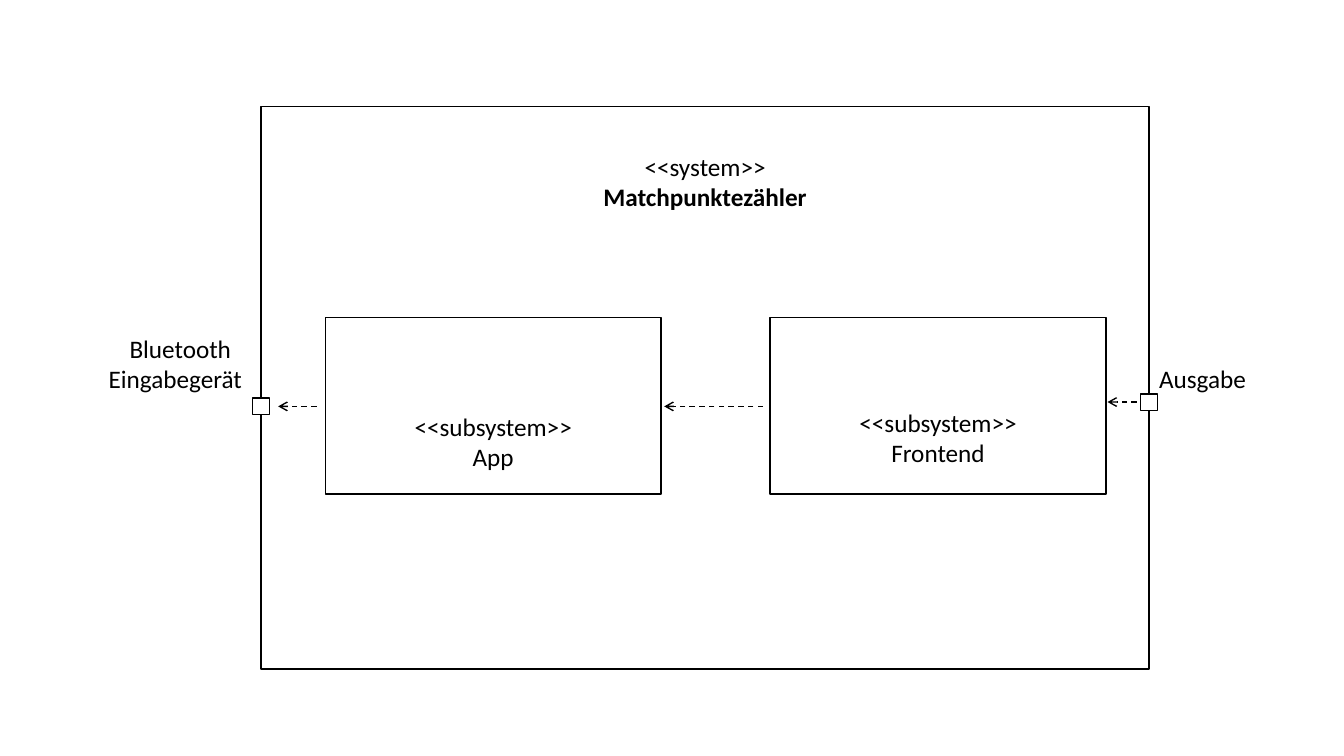
import pptx
import pptx.dml.color
import pptx.enum.dml
import pptx.enum.shapes
import pptx.enum.text
import pptx.oxml
import pptx.oxml.ns
import pptx.util

Cm, Pt = pptx.util.Cm, pptx.util.Pt
CENTER, LEFT = pptx.enum.text.PP_ALIGN.CENTER, pptx.enum.text.PP_ALIGN.LEFT
BLACK = pptx.dml.color.RGBColor(0, 0, 0)
WHITE = pptx.dml.color.RGBColor(255, 255, 255)

# Lengths in centimetres
SYSTEM = (6.58, 2.69, 22.38, 14.17)
SYSTEM_LABEL = ("<<system>>", "Matchpunktezähler")
SYSTEM_LABEL_TOP = 3.68
SUBSYSTEM_TOP, SUBSYSTEM_WIDTH, SUBSYSTEM_HEIGHT = 8, 8.46, 4.45
SUBSYSTEMS = [  # name, left, label top
    ("App", 8.2, 10.24),
    ("Frontend", 19.41, 10.13),
]
LABEL_WIDTH, LABEL_HEIGHT = 6.15, 1.8
PORT_SIZE = 0.42
PORTS = [  # centre x, centre y, label lines with alignment, label frame
    (SYSTEM[0], 10.24, [("Bluetooth", CENTER), ("Eingabegerät", LEFT)],
     (2.49, 8.28, 4.11, 1.8)),
    (SYSTEM[0] + SYSTEM[2], 10.14, [("Ausgabe", LEFT)],
     (28.96, 9.02, 2.87, 1.02)),
]
ARROWS = [(7.98, 7.01, 10.24), (19.23, 16.74, 10.24), (28.65, 27.91, 10.13)]  # from x, to x, y


def add_box(page, frame, fill=None):
    box = page.shapes.add_shape(
        pptx.enum.shapes.MSO_SHAPE.RECTANGLE, *map(Cm, frame))
    box.shadow.inherit = False
    if fill is None:
        box.fill.background()
    else:
        box.fill.solid()
        box.fill.fore_color.rgb = fill
    box.line.color.rgb = BLACK
    box.line.width = Pt(1)


def add_label(page, frame, lines):
    """Add a text box of (text, alignment) lines and return its text frame."""
    text_frame = page.shapes.add_textbox(*map(Cm, frame)).text_frame
    text_frame.word_wrap = True
    text_frame.text = "\n".join(text for text, _ in lines)
    for para, (_, alignment) in zip(text_frame.paragraphs, lines):
        para.alignment = alignment
        para.font.name = "Calibri"
        para.font.size = Pt(18)
        para.font.color.rgb = BLACK
    return text_frame


def add_centered_label(page, middle, top, texts):
    frame = (middle - LABEL_WIDTH / 2, top, LABEL_WIDTH, LABEL_HEIGHT)
    return add_label(page, frame, [(text, CENTER) for text in texts])


def add_dashed_arrow(page, start, end, height):
    arrow = page.shapes.add_connector(
        pptx.enum.shapes.MSO_CONNECTOR.STRAIGHT,
        Cm(start), Cm(height), Cm(end), Cm(height))
    arrow.line.color.rgb = BLACK
    arrow.line.width = Pt(1)
    arrow.line.dash_style = pptx.enum.dml.MSO_LINE.DASH
    properties = arrow._element.spPr
    for parent, tag in ((arrow.line._get_or_add_ln(), "tailEnd"),
                        (properties, "effectLst")):
        parent.append(pptx.oxml.parse_xml(
            f"<a:{tag} {pptx.oxml.ns.nsdecls('a')}/>"))
    arrow.line._get_or_add_ln()[-1].set("type", "arrow")


def main():
    deck = pptx.Presentation()
    deck.slide_width, deck.slide_height = Cm(33.87), Cm(19.05)
    page = deck.slides.add_slide(deck.slide_layouts[6])

    add_box(page, SYSTEM)
    label = add_centered_label(
        page, SYSTEM[0] + SYSTEM[2] / 2, SYSTEM_LABEL_TOP, SYSTEM_LABEL)
    label.paragraphs[1].font.bold = True

    for name, left, label_top in SUBSYSTEMS:
        add_box(page, (left, SUBSYSTEM_TOP, SUBSYSTEM_WIDTH, SUBSYSTEM_HEIGHT))
        add_centered_label(
            page, left + SUBSYSTEM_WIDTH / 2, label_top, ("<<subsystem>>", name))

    for x, y, lines, frame in PORTS:
        add_box(page, (x - PORT_SIZE / 2, y - PORT_SIZE / 2, PORT_SIZE, PORT_SIZE), WHITE)
        add_label(page, frame, lines)

    for start, end, height in ARROWS:
        add_dashed_arrow(page, start, end, height)

    deck.save("out.pptx")


if __name__ == "__main__":
    main()
